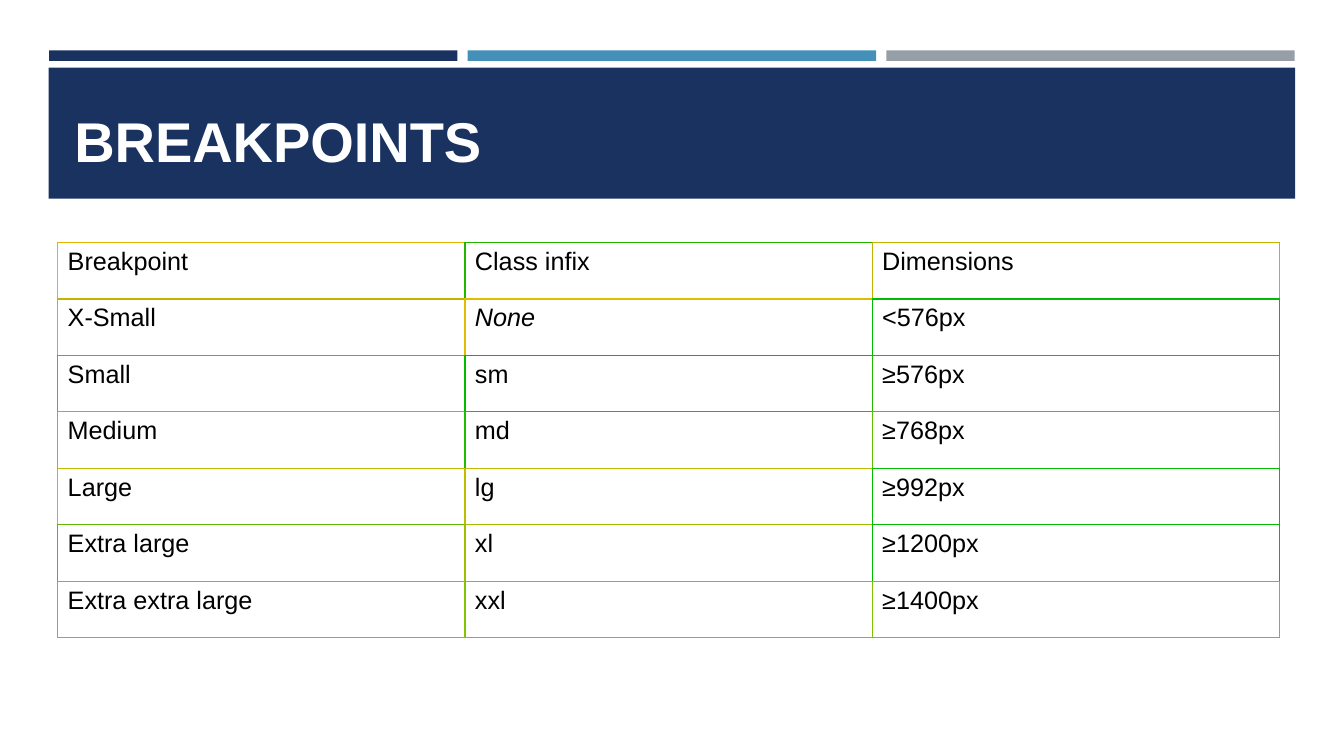
import pptx
import pptx.util
import pptx.dml.color
import pptx.enum.shapes
import pptx.enum.text
import pptx.oxml.ns
from lxml import etree

Pt = pptx.util.Pt

# Content
TITLE = "BREAKPOINTS"
BREAKPOINTS = [
    ("Breakpoint", "Class infix", "Dimensions"),
    ("X-Small", "None", "<576px"),
    ("Small", "sm", "≥576px"),
    ("Medium", "md", "≥768px"),
    ("Large", "lg", "≥992px"),
    ("Extra large", "xl", "≥1200px"),
    ("Extra extra large", "xxl", "≥1400px"),
]
# Each cell's left and top edge; the neighbour's colour closes it right and below
EDGE_COLOURS = [
    ("E0B400", "20B600", "C0B400"),
    ("C0B600", "E0BD00", "00BC00"),
    ("60BA00", "00BC00", "20B900"),
    ("A0B900", "20BC00", "60BD00"),
    ("C0BC00", "C0BC00", "00BE00"),
    ("60B900", "A0BE00", "00BB00"),
    ("80C500", "80C500", "80C200"),
]
NAVY, BLUE, GREY, WHITE, BLACK = "1A3260", "4590B8", "969FA7", "FFFFFF", "000000"

# Layout in points
BAR_LEFT, BAR_TOP, BAR_WIDTH, BAR_HEIGHT, BAR_STEP = 35.1, 36, 291.7, 7.5, 299
BANNER = (34.8, 48.4, 890.4, 93.6)
TITLE_BOX = (46, 47.5, 868.3, 79.9)
TABLE_LEFT, TABLE_TOP, COLUMN_WIDTH, ROW_HEIGHT = 41.2, 173.2, 290.9, 40.36
MARGINS = {"margin_left": Pt(7.2), "margin_right": Pt(7.2),
           "margin_top": Pt(3.6), "margin_bottom": Pt(3.6)}


def colour(hex_value):
    return pptx.dml.color.RGBColor.from_string(hex_value)


def set_all(target, values):
    for name, value in values.items():
        setattr(target, name, value)


def add_block(slide, box, fill):
    block = slide.shapes.add_shape(
        pptx.enum.shapes.MSO_SHAPE.RECTANGLE, *map(Pt, box))
    block.shadow.inherit = False
    block.fill.solid()
    block.fill.fore_color.rgb = colour(fill)
    block.line.fill.background()


def write(frame, text, hex_value, **font):
    run = frame.paragraphs[0].add_run()
    run.text = text
    set_all(run.font, {"name": "Arial", **font})
    run.font.color.rgb = colour(hex_value)


def set_border(cell, side, hex_value, width):
    qn = pptx.oxml.ns.qn
    properties = cell._tc.get_or_add_tcPr()
    edge = etree.SubElement(properties, qn("a:ln" + side), w=str(Pt(width)))
    fill = etree.SubElement(edge, qn("a:solidFill"))
    etree.SubElement(fill, qn("a:srgbClr"), val=hex_value)


presentation = pptx.Presentation()
set_all(presentation, {"slide_width": Pt(960), "slide_height": Pt(540)})
slide = presentation.slides.add_slide(presentation.slide_layouts[6])

# Top bars and banner
for index, fill in enumerate((NAVY, BLUE, GREY)):
    add_block(slide, (BAR_LEFT + index * BAR_STEP, BAR_TOP, BAR_WIDTH, BAR_HEIGHT), fill)
add_block(slide, BANNER, NAVY)

# Title
heading = slide.shapes.add_textbox(*map(Pt, TITLE_BOX)).text_frame
set_all(heading, {"word_wrap": True, **MARGINS,
                  "vertical_anchor": pptx.enum.text.MSO_ANCHOR.BOTTOM})
write(heading, TITLE, WHITE, size=Pt(40), bold=True)

# Breakpoint table
row_count, column_count = len(BREAKPOINTS), len(BREAKPOINTS[0])
grid = slide.shapes.add_table(
    row_count, column_count, Pt(TABLE_LEFT), Pt(TABLE_TOP),
    Pt(COLUMN_WIDTH * column_count), Pt(ROW_HEIGHT * row_count)).table
set_all(grid, {"first_row": False, "horz_banding": False})
for column in grid.columns:
    column.width = Pt(COLUMN_WIDTH)

for r, entries in enumerate(BREAKPOINTS):
    grid.rows[r].height = Pt(ROW_HEIGHT)
    below = min(r + 1, row_count - 1)
    for c, entry in enumerate(entries):
        cell = grid.cell(r, c)
        set_all(cell, MARGINS)
        write(cell.text_frame, entry, BLACK, size=Pt(18), italic=entry == "None")
        own = EDGE_COLOURS[r][c]
        right = EDGE_COLOURS[r][min(c + 1, column_count - 1)]
        set_border(cell, "L", own, 1)
        set_border(cell, "R", right, 1)
        set_border(cell, "T", own, 1)
        set_border(cell, "B", EDGE_COLOURS[below][c], 0.75 if below == r else 1)
        cell.fill.solid()
        cell.fill.fore_color.rgb = colour(WHITE)

presentation.save("out.pptx")
